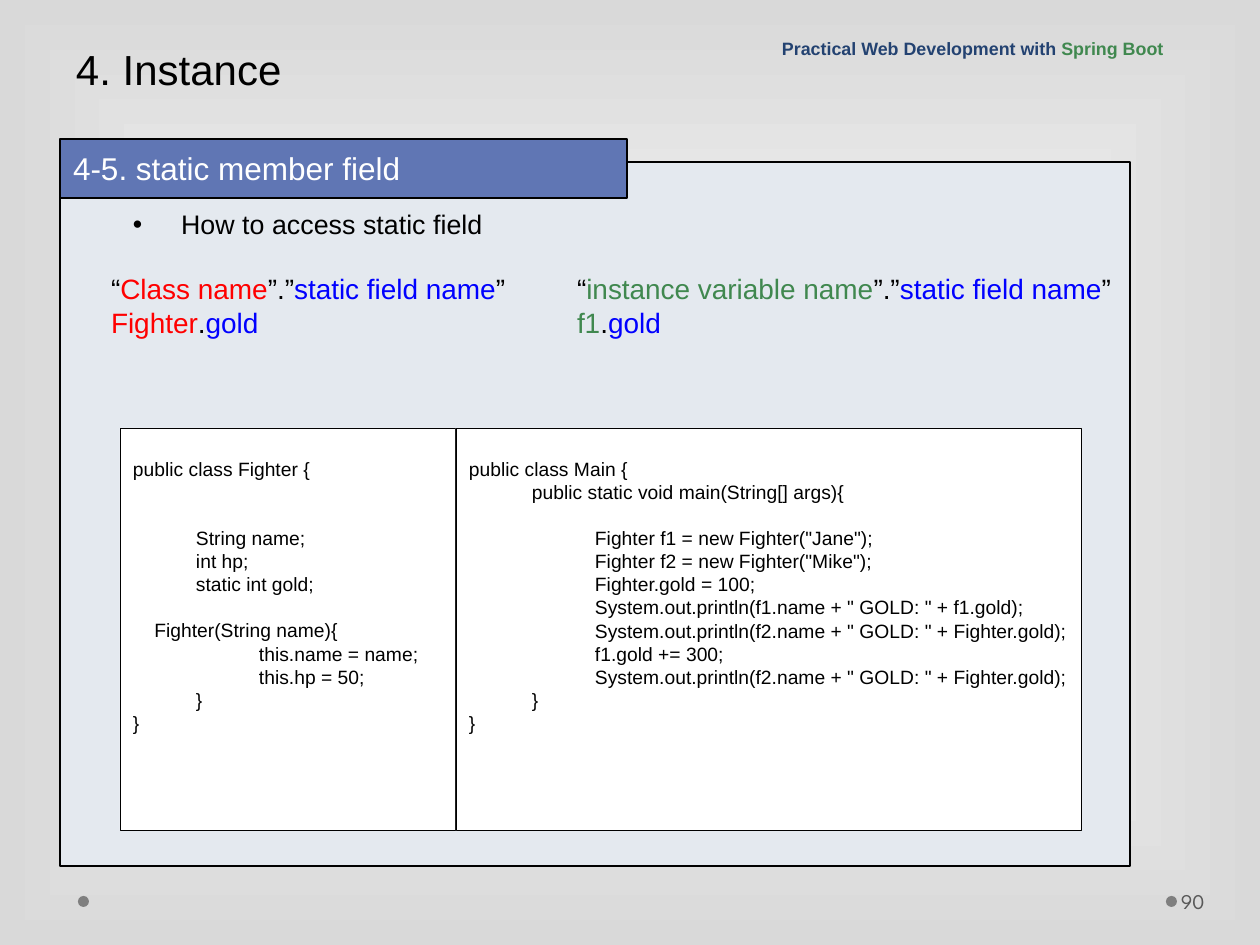
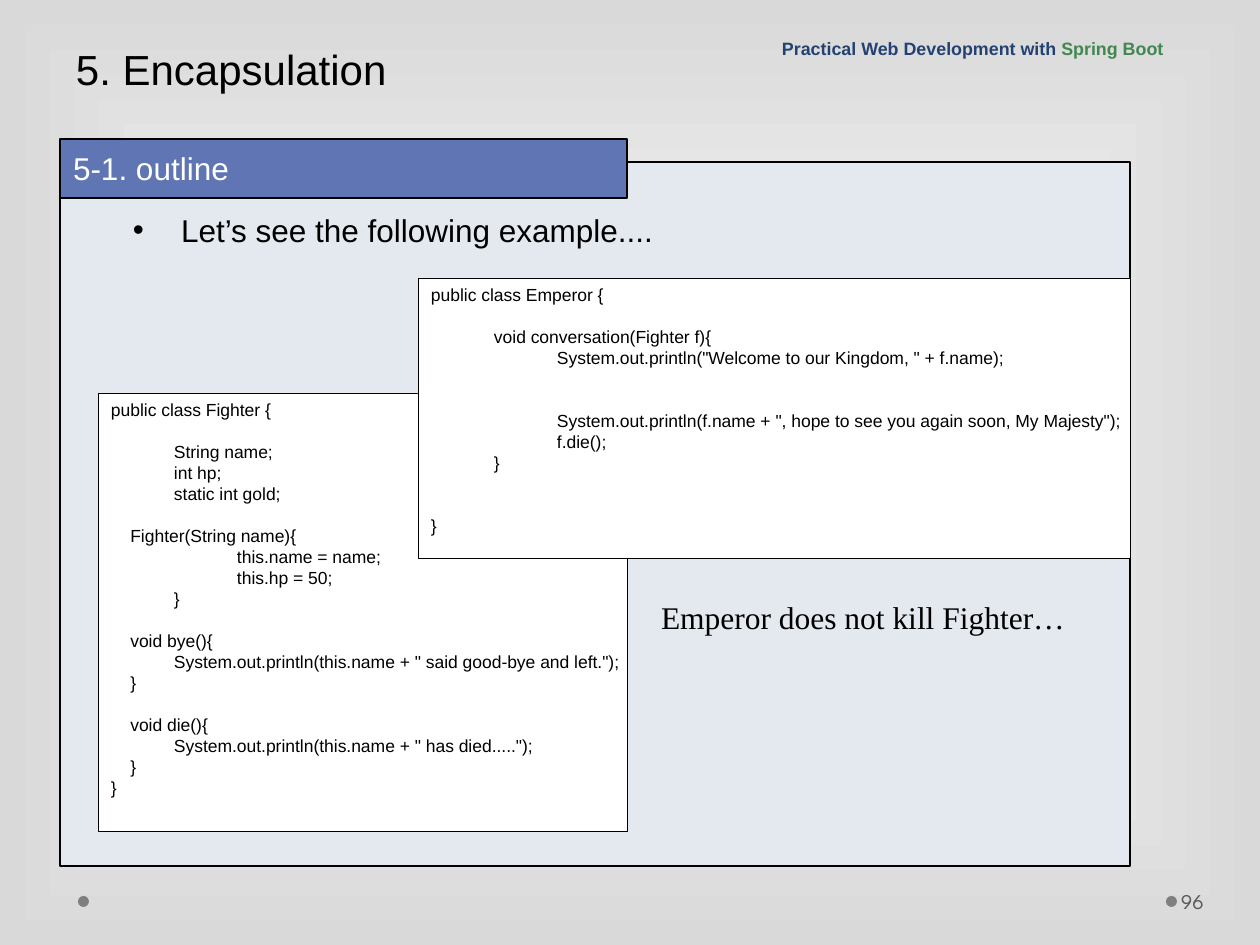
"""Build two lecture slides on static fields and encapsulation."""
from lxml import etree
from pptx import Presentation
from pptx.dml.color import RGBColor
from pptx.enum.shapes import MSO_SHAPE
from pptx.enum.text import MSO_ANCHOR, MSO_AUTO_SIZE, PP_ALIGN
from pptx.oxml.ns import qn
from pptx.util import Pt

RECT, OVAL = MSO_SHAPE.RECTANGLE, MSO_SHAPE.OVAL
TOP, MIDDLE, BOTTOM = MSO_ANCHOR.TOP, MSO_ANCHOR.MIDDLE, MSO_ANCHOR.BOTTOM
NO_FIT, LEFT = MSO_AUTO_SIZE.NONE, PP_ALIGN.LEFT

BLACK = RGBColor(0x00, 0x00, 0x00)
WHITE = RGBColor(0xFF, 0xFF, 0xFF)
EDGE_GREY = RGBColor(0xD9, 0xD9, 0xD9)
DOT_GREY = RGBColor(0x7F, 0x7F, 0x7F)
NUMBER_GREY = RGBColor(0x59, 0x59, 0x59)
PANEL = RGBColor(0xE4, 0xE9, 0xEF)
BAND = RGBColor(0x60, 0x76, 0xB4)
NAVY = RGBColor(0x23, 0x42, 0x71)
GREEN = RGBColor(0x40, 0x88, 0x4F)
RED = RGBColor(0xFF, 0x00, 0x00)
BLUE = RGBColor(0x00, 0x00, 0xFF)

PX = 914400 / 126
LINE_HEIGHT = 1.2

FIGHTER = """public class Fighter {


\tString name;
\tint hp;
\tstatic int gold;

    Fighter(String name){
\t\tthis.name = name;
\t\tthis.hp = 50;
\t}
}"""

MAIN = """public class Main {
\tpublic static void main(String[] args){

\t\tFighter f1 = new Fighter("Jane");
\t\tFighter f2 = new Fighter("Mike");
\t\tFighter.gold = 100;
\t\tSystem.out.println(f1.name + " GOLD: " + f1.gold);
\t\tSystem.out.println(f2.name + " GOLD: " + Fighter.gold);
\t\tf1.gold += 300;
\t\tSystem.out.println(f2.name + " GOLD: " + Fighter.gold);
\t}
}"""

MORTAL_FIGHTER = """public class Fighter {

\tString name;
\tint hp;
\tstatic int gold;

    Fighter(String name){
\t\tthis.name = name;
\t\tthis.hp = 50;
\t}

    void bye(){
    \tSystem.out.println(this.name + " said good-bye and left.");
    }

    void die(){
    \tSystem.out.println(this.name + " has died.....");
    }
}"""

EMPEROR = """public class Emperor {

\tvoid conversation(Fighter f){
\t\tSystem.out.println("Welcome to our Kingdom, " + f.name);


\t\tSystem.out.println(f.name + ", hope to see you again soon, My Majesty");
\t\tf.die();
\t}


}"""


def rect(*lengths):
    """Turn px lengths into EMU."""
    return [round(n * PX) for n in lengths]


def write(sp, lines=(), size=18, color=BLACK, font="Arial", bold=False, fill=None,
          line=None, anchor=TOP, wrap=True, insets=(13, 6, 13, 6), indent=0,
          bullet=None, spacing=None):
    """Style a shape and fill it with lines of text or of (text, colour) parts."""
    sp.shadow.inherit = False
    if fill is not None:
        sp.fill.solid()
        sp.fill.fore_color.rgb = fill
    if line:
        sp.line.width = Pt(line)
        sp.line.color.rgb = BLACK
    else:
        sp.line.fill.background()
    tf = sp.text_frame
    tf.auto_size, tf.word_wrap, tf.vertical_anchor = NO_FIT, wrap, anchor
    tf.margin_left, tf.margin_top, tf.margin_right, tf.margin_bottom = rect(*insets)
    p, blanks = None, 0
    for content in lines:
        if not content:
            blanks += 1
            continue
        p = tf.add_paragraph() if p else tf.paragraphs[0]
        p.alignment = LEFT
        pPr = p._p.get_or_add_pPr()
        pPr.set("marL", str(round(indent * PX)))
        pPr.set("indent", str(round(-indent * PX)))
        if bullet:
            etree.SubElement(pPr, qn("a:buFont"), typeface="Arial")
            etree.SubElement(pPr, qn("a:buChar"), char=bullet)
        else:
            etree.SubElement(pPr, qn("a:buNone"))
        tabs = etree.SubElement(pPr, qn("a:tabLst"))
        for stop in range(1, 8):
            etree.SubElement(tabs, qn("a:tab"), pos=str(stop * 457200), algn="l")
        p.space_before = Pt(blanks * size * LINE_HEIGHT)
        blanks = 0
        if spacing:
            p.line_spacing = spacing
        for text, part_color in [(content, color)] if isinstance(content, str) else content:
            r = p.add_run()
            r.text = text
            r.font.size, r.font.name, r.font.bold = Pt(size), font, bold
            r.font.color.rgb = part_color


prs = Presentation()
prs.slide_width, prs.slide_height = rect(1260, 945)

backdrop = prs.slide_master.background.fill
backdrop.gradient()
for stop, color, position in zip(backdrop.gradient_stops, (WHITE, EDGE_GREY), (0, 1)):
    stop.color.rgb = color
    stop.position = position
grad = prs.slide_master._element.find(".//" + qn("a:gradFill"))
grad.remove(grad.find(qn("a:lin")))
path = etree.SubElement(grad, qn("a:path"), path="rect")
etree.SubElement(path, qn("a:fillToRect"), l="50000", t="50000", r="50000", b="50000")

slides = []
for title, section, number in (("4. Instance", "4-5. static member field", "90"),
                               ("5. Encapsulation", "5-1. outline", "96")):
    s = prs.slides.add_slide(prs.slide_layouts[1])
    slides.append(s)
    for x in (1166, 78):
        write(s.shapes.add_shape(OVAL, *rect(x, 896, 11, 11)), fill=DOT_GREY)
    panel = s.shapes.add_shape(RECT, *rect(60, 162, 1070, 704))
    write(panel, fill=PANEL, line=0.75)
    s.shapes._spTree.insert(2, panel._element)

    heading = s.shapes.title
    heading.left, heading.top, heading.width, heading.height = rect(63, 0, 1134, 100)
    write(heading, [title], size=24, anchor=BOTTOM, indent=142, spacing=Pt(58))

    band = s.placeholders[1]
    band.left, band.top, band.width, band.height = rect(60, 139, 567, 59)
    write(band, [section], color=WHITE, fill=BAND, line=0.75, indent=48, spacing=1.1)

    write(s.shapes.add_textbox(*rect(1177, 876, 77, 50)), [number], size=12,
          color=NUMBER_GREY, font="League Spartan", anchor=MIDDLE, insets=(4, 6, 6, 6))
    write(s.shapes.add_textbox(*rect(769, 30, 491, 35)),
          [[("Practical Web Development with ", NAVY), ("Spring Boot", GREEN)]],
          size=10.2, bold=True, anchor=BOTTOM, spacing=0.9)

static_slide, outline_slide = slides

write(static_slide.shapes.add_textbox(*rect(120, 205, 888, 48)),
      ["How to access static field"], size=15.3, indent=48, bullet="•", spacing=0.9)
for x, w, code in ((120, 335, FIGHTER), (456, 625, MAIN)):
    write(static_slide.shapes.add_shape(RECT, *rect(x, 428, w, 402)), code.split("\n"),
          size=11, fill=WHITE, line=0.25, wrap=False, insets=(13, 29, 13, 6))
for x, w, owner, example, color in ((98, 420, "Class name", "Fighter", RED),
                                    (564, 559, "instance variable name", "f1", GREEN)):
    write(static_slide.shapes.add_textbox(*rect(x, 266, w, 81)),
          [[("“", BLACK), (owner, color), ("”.”", BLACK),
            ("static field name", BLUE), ("”", BLACK)],
           [(example, color), (".", BLACK), ("gold", BLUE)]],
          size=16, wrap=False)

write(outline_slide.shapes.add_textbox(*rect(120, 205, 940, 72)),
      ["Let’s see the following example...."], indent=48, bullet="•")
for place, code in (((98, 393, 529, 438), MORTAL_FIGHTER),
                    ((418, 278, 712, 280), EMPEROR)):
    write(outline_slide.shapes.add_shape(RECT, *rect(*place)), code.split("\n"),
          size=10, fill=WHITE, line=0.25, wrap=False)
write(outline_slide.shapes.add_textbox(*rect(648, 592, 459, 88)),
      ["Emperor does not kill Fighter…"], font="Times New Roman")

prs.save("out.pptx")
